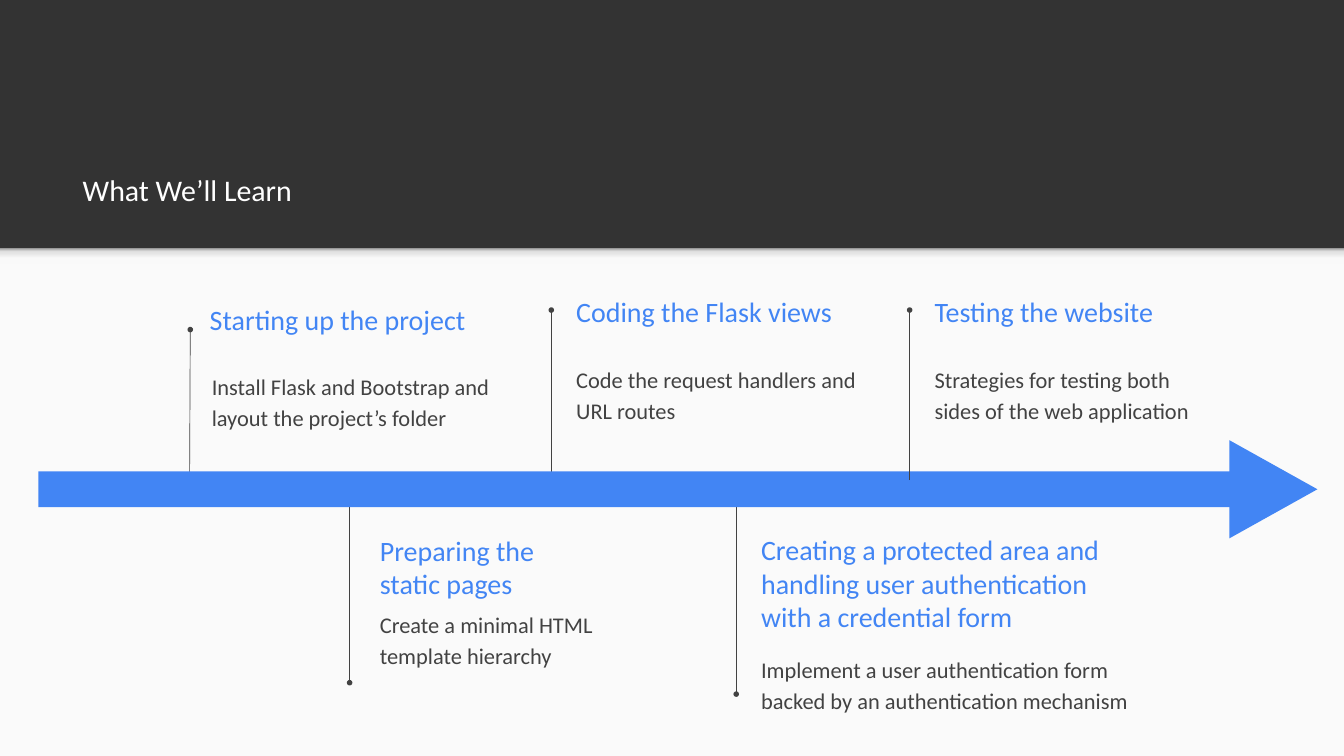
import pptx
import pptx.dml.color
import pptx.enum.shapes
import pptx.enum.text
import pptx.oxml.ns
import pptx.util
from dataclasses import dataclass
from lxml import etree

Inches = pptx.util.Inches
Pt = pptx.util.Pt
qn = pptx.oxml.ns.qn
Shape = pptx.enum.shapes.MSO_SHAPE
Anchor = pptx.enum.text.MSO_ANCHOR


@dataclass(frozen=True)
class Theme:
    font: str = "Calibri"
    header: str = "333333"
    panel: str = "FAFAFA"
    accent: str = "4285F4"
    ink: str = "424242"
    white: str = "FFFFFF"
    shade: tuple = ((0, "F9F9F9"), (36, "F9F9F9"), (80, "DEDEDE"), (100, "999999"))
    title_size: int = 32
    heading_size: int = 30
    body_size: int = 24
    stem_width: float = 0.75
    inset: float = 0.2
    body_spacing: float = 1.15


def rgb(color):
    return pptx.dml.color.RGBColor.from_string(color)


def inches(values):
    return [Inches(value) for value in values]


class Timeline:
    def __init__(self, slide, theme):
        self.slide = slide
        self.theme = theme
        background = slide.background.fill
        background.solid()
        background.fore_color.rgb = rgb(theme.header)

    def set_text(self, holder, text, size, color, anchor, spacing=1.0):
        frame = holder.text_frame
        frame.text = text
        frame.word_wrap = True
        frame.auto_size = pptx.enum.text.MSO_AUTO_SIZE.NONE
        frame.vertical_anchor = anchor
        inset = Inches(self.theme.inset)
        frame.margin_left = frame.margin_right = inset
        frame.margin_top = frame.margin_bottom = inset
        paragraph = frame.paragraphs[0]
        paragraph.alignment = pptx.enum.text.PP_ALIGN.LEFT
        paragraph.line_spacing = spacing
        font = paragraph.runs[0].font
        font.name = self.theme.font
        font.size = Pt(size)
        font.color.rgb = rgb(color)

    def title(self, text, box):
        title = self.slide.shapes.title
        title.left, title.top, title.width, title.height = inches(box)
        self.set_text(title, text, self.theme.title_size, self.theme.white, Anchor.BOTTOM)

    def heading(self, text, box):
        holder = self.slide.shapes.add_textbox(*inches(box))
        self.set_text(holder, text, self.theme.heading_size, self.theme.accent, Anchor.MIDDLE)

    def body(self, text, box):
        holder = self.slide.shapes.add_textbox(*inches(box))
        self.set_text(holder, text, self.theme.body_size, self.theme.ink, Anchor.TOP,
                      self.theme.body_spacing)

    def block(self, kind, box, color, parent=None):
        """Add a plain filled shape to the slide or to a group."""
        block = (parent or self.slide).shapes.add_shape(kind, *inches(box))
        block.shadow.inherit = False
        block.line.fill.background()
        block.fill.solid()
        block.fill.fore_color.rgb = rgb(color)
        return block

    def header_shade(self, box):
        """Add the soft shadow under the header, darkest at its top edge."""
        shade = self.block(Shape.RECTANGLE, box, self.theme.panel)
        shade.fill.gradient()
        shade.fill.gradient_angle = 90
        stops = next(shade.element.iter(qn("a:gsLst")))
        for stop in list(stops):
            stops.remove(stop)
        for position, color in self.theme.shade:
            stop = etree.SubElement(stops, qn("a:gs"), pos=str(position * 1000))
            etree.SubElement(stop, qn("a:srgbClr"), val=color)

    def stem(self, start, end):
        """Add a thin line from the arrow that ends in a dot."""
        stem = self.slide.shapes.add_connector(
            pptx.enum.shapes.MSO_CONNECTOR.STRAIGHT, *inches(start + end))
        stem.line.color.rgb = rgb(self.theme.ink)
        stem.line.width = Pt(self.theme.stem_width)
        properties = stem.element.spPr
        etree.SubElement(properties.find(qn("a:ln")), qn("a:tailEnd"), type="oval")
        etree.SubElement(properties, qn("a:effectLst"))

    def arrow(self, bar_box, tip_box):
        group = self.slide.shapes.add_group_shape()
        tip = self.block(Shape.ISOSCELES_TRIANGLE, tip_box, self.theme.accent, group)
        tip.rotation = 90
        self.block(Shape.RECTANGLE, bar_box, self.theme.accent, group)

    def step(self, heading, heading_box, body, body_box, stem):
        self.stem(*stem)
        self.heading(heading, heading_box)
        self.body(body, body_box)


STEPS = [
    ("Starting up the project", (2.92, 4.12, 4.6, 1.27),
     "Install Flask and Bootstrap and layout the project’s folder",
     (2.95, 5.29, 4.6, 1.27), ((2.82, 7.16), (2.83, 4.9))),
    ("Preparing the static pages", (5.45, 8, 3.34, 0.86),
     "Create a minimal HTML template hierarchy",
     (5.45, 8.83, 4.3, 1.27), ((5.2, 7.21), (5.2, 10.15))),
    ("Coding the Flask views", (8.37, 4.2, 4.43, 0.86),
     "Code the request handlers and URL routes",
     (8.37, 5.18, 4.6, 1.27), ((8.2, 7.14), (8.2, 4.61))),
    ("Creating a protected area and handling user authentication with a credential form",
     (11.12, 7.94, 5.76, 1.46),
     "Implement a user authentication form backed by an authentication mechanism",
     (11.12, 9.49, 6.35, 1.27), ((10.95, 7.37), (10.95, 10.32))),
    ("Testing the website", (13.7, 4.2, 4.43, 0.86),
     "Strategies for testing both sides of the web application",
     (13.7, 5.18, 4.6, 1.27), ((13.53, 7.14), (13.53, 4.61))),
]


def main():
    width, height, header_height = 19.99, 11.24, 3.69
    deck = pptx.Presentation()
    deck.slide_width, deck.slide_height = inches((width, height))
    theme = Theme()
    timeline = Timeline(deck.slides.add_slide(deck.slide_layouts[5]), theme)

    timeline.title("What We’ll Learn", (1.03, 1.61, 17.98, 1.68))
    timeline.block(Shape.RECTANGLE, (0, header_height, width, height - header_height),
                   theme.panel)
    timeline.header_shade((0, header_height, width, 0.24))

    *earlier_steps, last_step = STEPS
    for step in earlier_steps:
        timeline.step(*step)
    timeline.arrow((0.57, 7.01, 17.96, 0.53), (18.21, 6.62, 1.46, 1.31))
    timeline.step(*last_step)

    deck.save("out.pptx")


if __name__ == "__main__":
    main()
